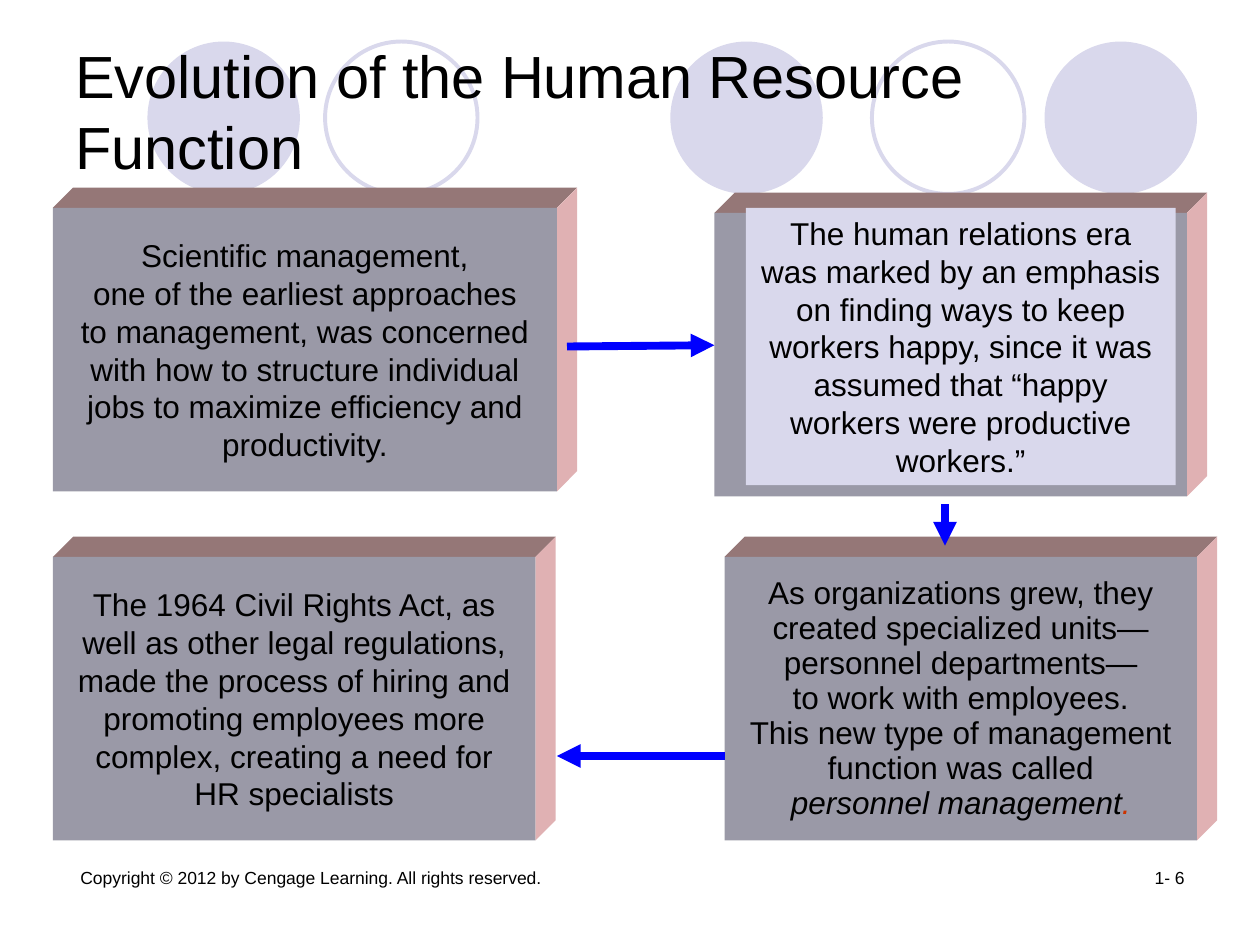
from typing import NamedTuple

from lxml import etree
from pptx import Presentation
from pptx.dml.color import RGBColor
from pptx.enum import shapes, text
from pptx.oxml import ns
from pptx.util import Inches, Pt

COLORS = {
    "lavender": "D9D8EC",
    "front": "9A99A7",
    "top": "957777",
    "side": "E0B1B3",
    "arrow": "0000FF",
    "text": "000000",
    "accent": "CC3300",
}
DEPTH = 0.16
CIRCLE_TOP, CIRCLE_SIZE = 0.33, 1.21


class Circle(NamedTuple):
    left: float
    filled: bool


class Block(NamedTuple):
    left: float
    top: float
    width: float
    height: float
    lines: tuple[str, ...] = ()
    spacing: float | None = None


class Arrow(NamedTuple):
    start: tuple[float, float]
    end: tuple[float, float]


class Label(NamedTuple):
    left: float
    top: float
    width: float
    height: float
    wording: str
    size: float
    alignment: text.PP_ALIGN = text.PP_ALIGN.LEFT
    anchor: text.MSO_ANCHOR = text.MSO_ANCHOR.TOP


CIRCLES = [
    Circle(5.32, True),
    Circle(8.29, True),
    Circle(1.17, True),
    Circle(6.92, False),
    Circle(2.58, False),
]
SCIENTIFIC = Block(0.42, 1.65, 4, 2.25, (
    "Scientific management,",
    "one of the earliest approaches",
    "to management, was concerned",
    "with how to structure individual",
    "jobs to maximize efficiency and",
    "productivity.",
))
RELATIONS = Block(5.67, 1.69, 3.75, 2.25)
RELATIONS_PANEL = Block(5.92, 1.65, 3.41, 2.2, (
    "The human relations era was marked by an emphasis on finding ways to keep "
    "workers happy, since it was assumed that “happy workers were productive workers.”",
))
PERSONNEL = Block(5.75, 4.42, 3.75, 2.25, (
    "As organizations grew, they",
    "created specialized units—",
    "personnel departments—",
    "to work with employees.",
    "This new type of management",
    "function was called",
    "personnel management",
), 20)
REGULATION = Block(0.42, 4.42, 3.83, 2.25, (
    "The 1964 Civil Rights Act, as",
    "well as other legal regulations,",
    "made the process of hiring and",
    "promoting employees more",
    "complex, creating a need for",
    "HR specialists",
))
ARROWS = [
    Arrow((4.5, 2.75), (5.67, 2.74)),
    Arrow((7.5, 4), (7.5, 4.33)),
    Arrow((5.75, 6), (4.42, 6)),
]
LABELS = [
    Label(0.54, 6.83, 6.04, 0.5,
          "Copyright © 2012 by Cengage Learning. All rights reserved.", 10),
    Label(7.17, 6.83, 2.33, 0.5, "1- 6", 10, text.PP_ALIGN.RIGHT),
    Label(0.5, 0.25, 9, 1.25, "Evolution of the Human Resource Function", 34,
          anchor=text.MSO_ANCHOR.MIDDLE),
]


def color(name: str) -> RGBColor:
    return RGBColor.from_string(COLORS[name])


def style_font(font, size: float) -> None:
    font.name = "Arial"
    font.size = Pt(size)
    font.color.rgb = color("text")


def paint(shape, fill: str) -> None:
    shape.shadow.inherit = False
    shape.fill.solid()
    shape.fill.fore_color.rgb = color(fill)
    shape.line.fill.background()


def add_circle(slide, circle: Circle) -> None:
    shape = slide.shapes.add_shape(
        shapes.MSO_SHAPE.OVAL, Inches(circle.left), Inches(CIRCLE_TOP),
        Inches(CIRCLE_SIZE), Inches(CIRCLE_SIZE))
    paint(shape, "lavender")
    if not circle.filled:
        shape.fill.background()
        shape.line.color.rgb = color("lavender")
        shape.line.width = Pt(2.25)


def add_face(slide, points: list[tuple[float, float]], fill: str) -> None:
    corners = [(Inches(x), Inches(y)) for x, y in points]
    builder = slide.shapes.build_freeform(*corners[0])
    builder.add_line_segments(corners[1:], close=True)
    paint(builder.convert_to_shape(), fill)


def add_panel(slide, block: Block, fill: str, anchor: text.MSO_ANCHOR, wrap: bool):
    shape = slide.shapes.add_shape(
        shapes.MSO_SHAPE.RECTANGLE, Inches(block.left), Inches(block.top),
        Inches(block.width), Inches(block.height))
    paint(shape, fill)
    frame = shape.text_frame
    frame.word_wrap = wrap
    frame.vertical_anchor = anchor
    for index, line in enumerate(block.lines):
        paragraph = frame.add_paragraph() if index else frame.paragraphs[0]
        paragraph.text = line
        paragraph.alignment = text.PP_ALIGN.CENTER
        style_font(paragraph.font, 18)
        if block.spacing:
            paragraph.line_spacing = Pt(block.spacing)
    return shape


def add_block(slide, block: Block):
    left, top = block.left, block.top
    right, bottom = left + block.width, top + block.height
    back_right, back_top = right + DEPTH, top - DEPTH
    add_face(slide, [(left, top), (left + DEPTH, back_top),
                     (back_right, back_top), (right, top)], "top")
    add_face(slide, [(right, top), (back_right, back_top),
                     (back_right, bottom - DEPTH), (right, bottom)], "side")
    return add_panel(slide, block, "front", text.MSO_ANCHOR.MIDDLE, False)


def add_arrow(slide, arrow: Arrow) -> None:
    connector = slide.shapes.add_connector(
        shapes.MSO_CONNECTOR.STRAIGHT,
        *(Inches(value) for value in arrow.start + arrow.end))
    connector.line.color.rgb = color("arrow")
    connector.line.width = Pt(4.5)
    line = connector.line._get_or_add_ln()
    etree.SubElement(line, ns.qn("a:tailEnd"), type="triangle")
    etree.SubElement(connector._element.spPr, ns.qn("a:effectLst"))


def add_label(slide, label: Label) -> None:
    box = slide.shapes.add_textbox(
        Inches(label.left), Inches(label.top), Inches(label.width), Inches(label.height))
    frame = box.text_frame
    frame.word_wrap = True
    frame.vertical_anchor = label.anchor
    paragraph = frame.paragraphs[0]
    paragraph.text = label.wording
    paragraph.alignment = label.alignment
    style_font(paragraph.font, label.size)


def main() -> None:
    presentation = Presentation()
    presentation.slide_width, presentation.slide_height = Inches(10), Inches(7.5)
    slide = presentation.slides.add_slide(presentation.slide_layouts[6])
    for circle in CIRCLES:
        add_circle(slide, circle)
    add_block(slide, SCIENTIFIC)
    add_block(slide, RELATIONS)
    add_panel(slide, RELATIONS_PANEL, "lavender", text.MSO_ANCHOR.TOP, True)
    personnel = add_block(slide, PERSONNEL)
    closing = personnel.text_frame.paragraphs[-1]
    closing.font.italic = True
    period = closing.add_run()
    period.text = "."
    period.font.color.rgb = color("accent")
    add_block(slide, REGULATION)
    for arrow in ARROWS:
        add_arrow(slide, arrow)
    for label in LABELS:
        add_label(slide, label)
    presentation.save("out.pptx")


if __name__ == "__main__":
    main()
